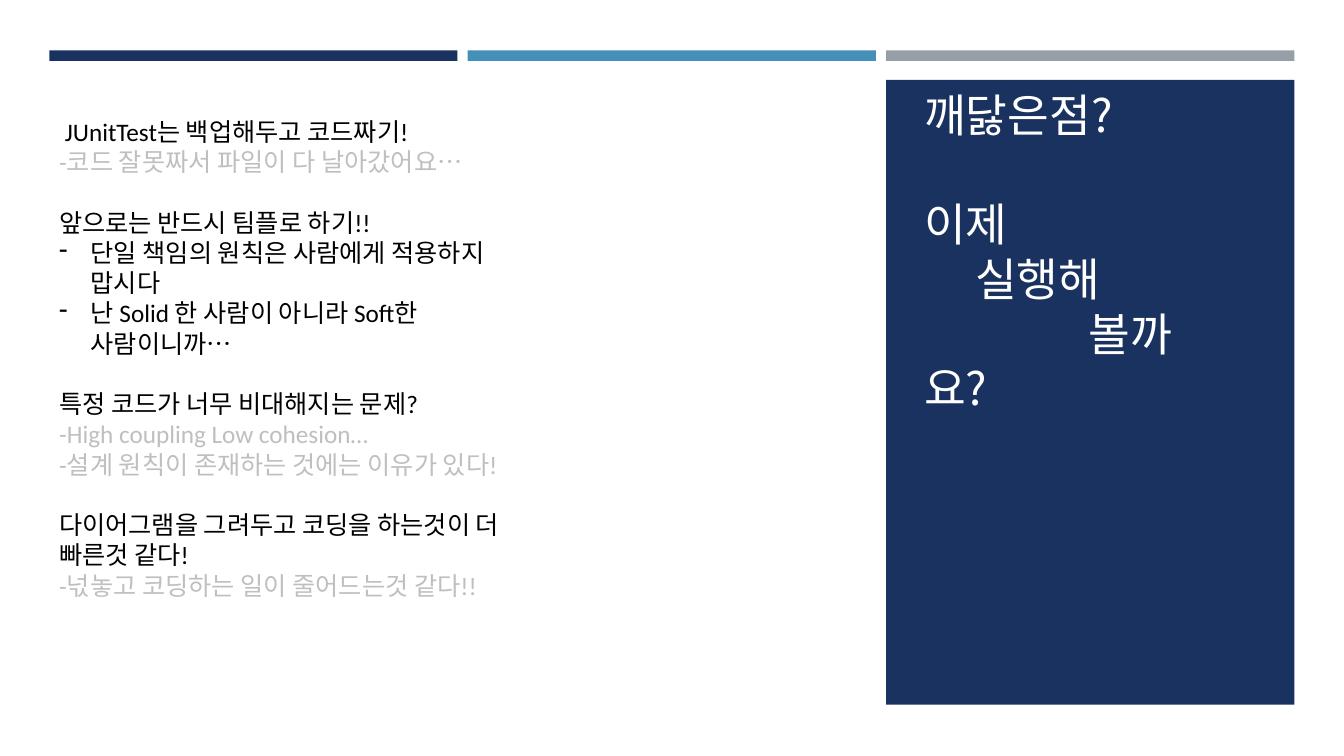
from dataclasses import dataclass

from pptx import Presentation
from pptx.dml.color import RGBColor
from pptx.enum import shapes, text
from pptx.oxml import ns
from pptx.util import Pt
from lxml import etree


@dataclass(frozen=True)
class Theme:
    navy: str = "1A3260"
    blue: str = "4590B8"
    grey: str = "969FA7"
    white: str = "FFFFFF"
    black: str = "000000"
    pale: str = "BFBFBF"
    latin: str = "Calibri"
    korean: str = "Noto Sans CJK KR"
    title_size: float = 32.4
    title_line: float = 39
    body_size: float = 18
    body_line: float = 21.6


theme = Theme()
deck = Presentation()
deck.slide_width, deck.slide_height = Pt(960), Pt(540)
page = deck.slides.add_slide(deck.slide_layouts[6])


def add_block(left, top, width, height, color):
    block = page.shapes.add_shape(
        shapes.MSO_SHAPE.RECTANGLE, Pt(left), Pt(top), Pt(width), Pt(height))
    block.shadow.inherit = False
    block.fill.solid()
    block.fill.fore_color.rgb = RGBColor.from_string(color)
    block.line.fill.background()


def add_text(left, top, width, height, lines, typeface, size, line_height):
    box = page.shapes.add_textbox(Pt(left), Pt(top), Pt(width), Pt(height))
    frame = box.text_frame
    frame.word_wrap = True
    frame.vertical_anchor = text.MSO_ANCHOR.TOP
    for index, (words, color, margin, indent, bullet, gap) in enumerate(lines):
        para = frame.paragraphs[0] if index == 0 else frame.add_paragraph()
        para.text = words
        para.line_spacing = Pt(line_height)
        para.space_before = Pt(line_height * gap)
        para.font.name = typeface
        para.font.size = Pt(size)
        para.font.color.rgb = RGBColor.from_string(color)
        layout = para._p.get_or_add_pPr()
        layout.set("marL", str(Pt(margin)))
        layout.set("indent", str(Pt(indent)))
        defaults = layout.find(ns.qn("a:defRPr"))
        if typeface == theme.korean:
            east = etree.Element(ns.qn("a:ea"), typeface=typeface)
            defaults.find(ns.qn("a:latin")).addnext(east)
        if bullet:
            defaults.addprevious(etree.Element(ns.qn("a:buFontTx")))
            defaults.addprevious(etree.Element(ns.qn("a:buChar"), char=bullet))


add_block(0, 0, 960, 540, theme.white)
column_left, column_width, column_step = 35.2, 291.6, 298.9
for column, color in enumerate((theme.navy, theme.blue, theme.grey)):
    add_block(column_left + column * column_step, 36, column_width, 7.5, color)
add_block(column_left + 2 * column_step, 57, column_width, 446.4, theme.navy)

title_lines = [
    ("깨닳은점?", theme.white, 0, 0, None, 0),
    ("이제", theme.white, 0, 0, None, 1),
    ("실행해", theme.white, 0, 36.5, None, 0),
    ("볼까요?", theme.white, 0, 117.5, None, 0),
]
add_text(653, 58.8, 212, 240, title_lines,
         theme.korean, theme.title_size, theme.title_line)

body_lines = [
    (" JUnitTest는 백업해두고 코드짜기!", theme.black, 0, 0, None, 0),
    ("-코드 잘못짜서 파일이 다 날아갔어요…", theme.pale, 0, 0, None, 0),
    ("앞으로는 반드시 팀플로 하기!!", theme.black, 0, 0, None, 1),
    ("단일 책임의 원칙은 사람에게 적용하지 맙시다", theme.black, 22.5, -22.5, "-", 0),
    ("난 Solid 한 사람이 아니라 Soft한 사람이니까…", theme.black, 22.5, -22.5, "-", 0),
    ("특정 코드가 너무 비대해지는 문제?", theme.black, 0, 0, None, 1),
    ("-High coupling Low cohesion…", theme.pale, 0, 0, None, 0),
    ("-설계 원칙이 존재하는 것에는 이유가 있다!", theme.pale, 0, 0, None, 0),
    ("다이어그램을 그려두고 코딩을 하는것이 더 빠른것 같다!", theme.black, 0, 0, None, 1),
    ("-넋놓고 코딩하는 일이 줄어드는것 같다!!", theme.pale, 0, 0, None, 0),
]
add_text(column_left, 79.5, 360, 353, body_lines,
         theme.latin, theme.body_size, theme.body_line)

deck.save("out.pptx")
